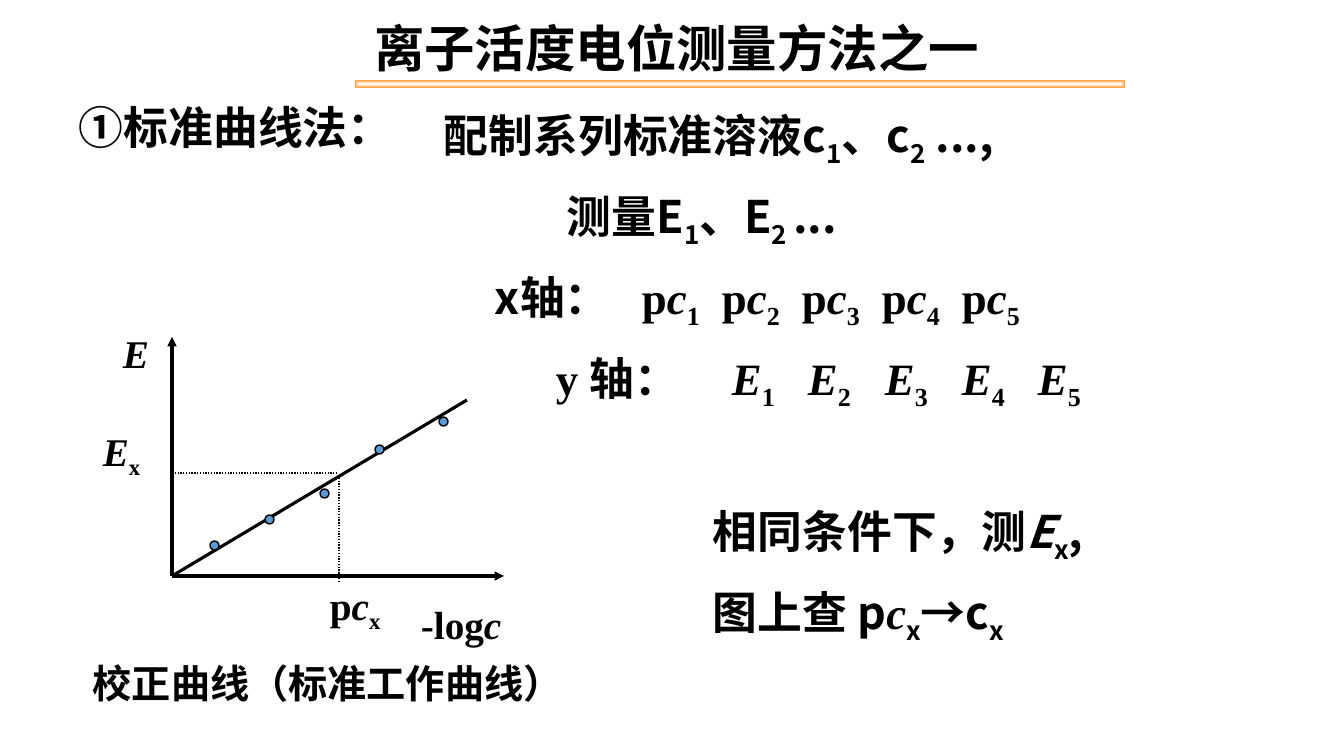
import dataclasses
import typing

import lxml.etree
import pptx
import pptx.dml.color
import pptx.enum.dml
import pptx.enum.shapes
import pptx.enum.text
import pptx.oxml.ns
import pptx.util

BLACK = pptx.dml.color.RGBColor(0x00, 0x00, 0x00)
WHITE = pptx.dml.color.RGBColor(0xFF, 0xFF, 0xFF)
ORANGE = pptx.dml.color.RGBColor(0xFF, 0x99, 0x33)
BLUE = pptx.dml.color.RGBColor(0x5B, 0x9B, 0xD5)
SANS = "Noto Sans CJK SC"
SERIF = "Times New Roman"
EMU_PER_PIXEL = 914400 / 100.8


@dataclasses.dataclass(frozen=True)
class Box:
    left: int
    top: int
    width: int
    height: int


@dataclasses.dataclass(frozen=True)
class Line:
    start: tuple[int, int]
    end: tuple[int, int]
    points: float = 2.25
    dotted: bool = False
    arrow: bool = False


@dataclasses.dataclass(frozen=True)
class Label:
    box: Box
    text: str
    size: int = 28
    font: str = SERIF


def pixels(value: float) -> pptx.util.Emu:
    return pptx.util.Emu(round(value * EMU_PER_PIXEL))


def place(box: Box) -> list[pptx.util.Emu]:
    return [pixels(value) for value in dataclasses.astuple(box)]


def add_child(parent: typing.Any, tag: str, **attributes: str) -> typing.Any:
    return lxml.etree.SubElement(parent, pptx.oxml.ns.qn(tag), attributes)


def add_run(paragraph: typing.Any, text: str, *, size: int, font: str,
            italic: bool, subscript: bool) -> None:
    run = paragraph.add_run()
    run.text = text
    run.font.size = pptx.util.Pt(size)
    run.font.name = font
    run.font.bold = True
    run.font.italic = italic
    run.font.color.rgb = BLACK
    properties = run.font._element
    add_child(properties, "a:ea", typeface=SANS)
    if subscript:
        properties.set("baseline", "-25000")


def write_text(shape: typing.Any, text: str, *, size: int, font: str,
               space_before: float = 0,
               tabs: typing.Sequence[typing.Sequence[int]] = ()) -> None:
    """Toggles in text: * italic, _ subscript, ~ serif."""
    frame = shape.text_frame
    frame.word_wrap = True
    frame.auto_size = pptx.enum.text.MSO_AUTO_SIZE.NONE
    frame.vertical_anchor = pptx.enum.text.MSO_ANCHOR.TOP
    for index, line in enumerate(text.split("\n")):
        paragraph = frame.paragraphs[0] if index == 0 else frame.add_paragraph()
        paragraph.alignment = pptx.enum.text.PP_ALIGN.LEFT
        paragraph.space_before = pptx.util.Pt(space_before if index else 0)
        if index < len(tabs) and tabs[index]:
            tab_list = add_child(paragraph._p.get_or_add_pPr(), "a:tabLst")
            for stop in tabs[index]:
                add_child(tab_list, "a:tab", pos=str(pixels(stop)), algn="l")
        active = {"*": False, "_": False, "~": False}
        piece = ""
        for character in line + "\0":
            if character not in active and character != "\0":
                piece += character
                continue
            if piece:
                add_run(paragraph, piece, size=size,
                        font=SERIF if active["~"] else font,
                        italic=active["*"], subscript=active["_"])
                piece = ""
            if character in active:
                active[character] = not active[character]


def add_text(slide: typing.Any, label: Label, **text_format: typing.Any) -> None:
    shape = slide.shapes.add_textbox(*place(label.box))
    write_text(shape, label.text, size=label.size, font=label.font, **text_format)


def add_line(slide: typing.Any, line: Line) -> None:
    connector = slide.shapes.add_connector(
        pptx.enum.shapes.MSO_CONNECTOR.STRAIGHT,
        *[pixels(value) for value in line.start + line.end])
    connector.line.color.rgb = BLACK
    connector.line.width = pptx.util.Pt(line.points)
    if line.dotted:
        connector.line.dash_style = pptx.enum.dml.MSO_LINE.ROUND_DOT
    if line.arrow:
        add_child(connector.line._get_or_add_ln(), "a:tailEnd", type="triangle")
    add_child(connector._element.spPr, "a:effectLst")


def add_point(slide: typing.Any, left: int, top: int) -> None:
    point = slide.shapes.add_shape(
        pptx.enum.shapes.MSO_SHAPE.OVAL, *place(Box(left, top, 9, 9)))
    point.shadow.inherit = False
    point.fill.solid()
    point.fill.fore_color.rgb = BLUE
    point.line.color.rgb = BLACK
    point.line.width = pptx.util.Pt(1)


def add_title_bar(slide: typing.Any, box: Box) -> None:
    bar = slide.shapes.add_shape(pptx.enum.shapes.MSO_SHAPE.RECTANGLE, *place(box))
    bar.shadow.inherit = False
    bar.line.fill.background()
    bar.fill.gradient()
    for stop, color in zip(bar.fill.gradient_stops, (WHITE, ORANGE)):
        stop.color.rgb = color
    gradient = bar._element.spPr.find(pptx.oxml.ns.qn("a:gradFill"))
    gradient.remove(gradient.find(pptx.oxml.ns.qn("a:lin")))
    shading = add_child(gradient, "a:path")
    shading.set("path", "shape")
    add_child(shading, "a:fillToRect", l="50000", t="50000", r="50000", b="50000")


ORIGIN = (172, 576)
CHART_LINES = [
    Line((339, 475), (339, 581), points=1, dotted=True),
    Line((172, 473), (338, 473), points=1, dotted=True),
    Line(ORIGIN, (172, 337), arrow=True),
    Line(ORIGIN, (504, 576), arrow=True),
    Line(ORIGIN, (467, 400)),
]
POINTS = [(210, 541), (265, 515), (320, 489), (375, 445), (439, 417)]
LABELS = [
    Label(Box(83, 654, 494, 57), "校正曲线（标准工作曲线）"),
    Label(Box(93, 422, 92, 60), "*E*_x_"),
    Label(Box(320, 576, 82, 57), "p*c*_x_"),
    Label(Box(113, 324, 51, 57), "*E*"),
    Label(Box(411, 595, 128, 57), "-log*c*"),
    Label(Box(69, 95, 385, 65), "①标准曲线法：", 32, SANS),
]
X_VALUES = "\t".join(f"p*c*_{number}_" for number in range(1, 6))
Y_VALUES = "\t".join(f"*E*_{number}_" for number in range(1, 6))
METHOD = Label(Box(434, 103, 857, 308), "\n".join([
    "配制系列标准溶液c_1_、c_2_ ...,",
    "\t测量E_1_、E_2 _...",
    f"\tx轴：\t~{X_VALUES}~",
    f"\t~y 轴：\t{Y_VALUES}~",
]), 32, SANS)
METHOD_TABS = [
    [],
    [123],
    [51, *range(198, 198 + 5 * 80, 80)],
    [112, *[round(288 + 76.5 * step) for step in range(5)]],
]
LOOKUP = Label(Box(703, 499, 477, 146),
               "相同条件下，测*E*_x_,\n图上查 p~*c*~_x_→c_x_", 32, SANS)

presentation = pptx.Presentation()
presentation.slide_width = pixels(1344)
presentation.slide_height = pixels(756)
slide = presentation.slides.add_slide(presentation.slide_layouts[5])
title = slide.shapes.title
title.left, title.top, title.width, title.height = place(Box(364, 12, 814, 72))
write_text(title, "离子活度电位测量方法之一", size=36, font=SERIF)
add_title_bar(slide, Box(355, 80, 770, 8))
add_text(slide, METHOD, space_before=14, tabs=METHOD_TABS)
add_text(slide, LOOKUP, space_before=14)
for chart_line in CHART_LINES:
    add_line(slide, chart_line)
for point_left, point_top in POINTS:
    add_point(slide, point_left, point_top)
for chart_label in LABELS:
    add_text(slide, chart_label)
presentation.save("out.pptx")
